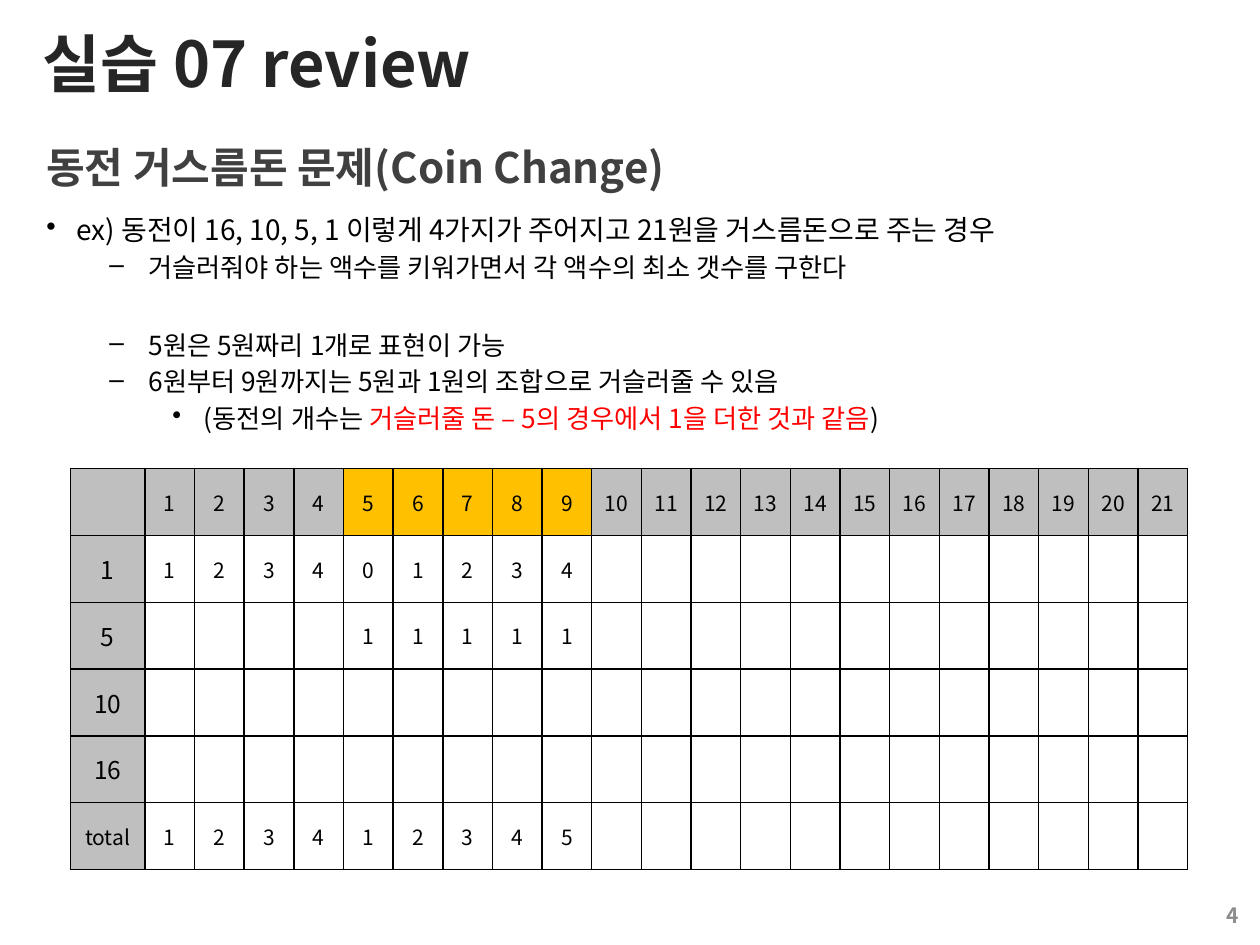
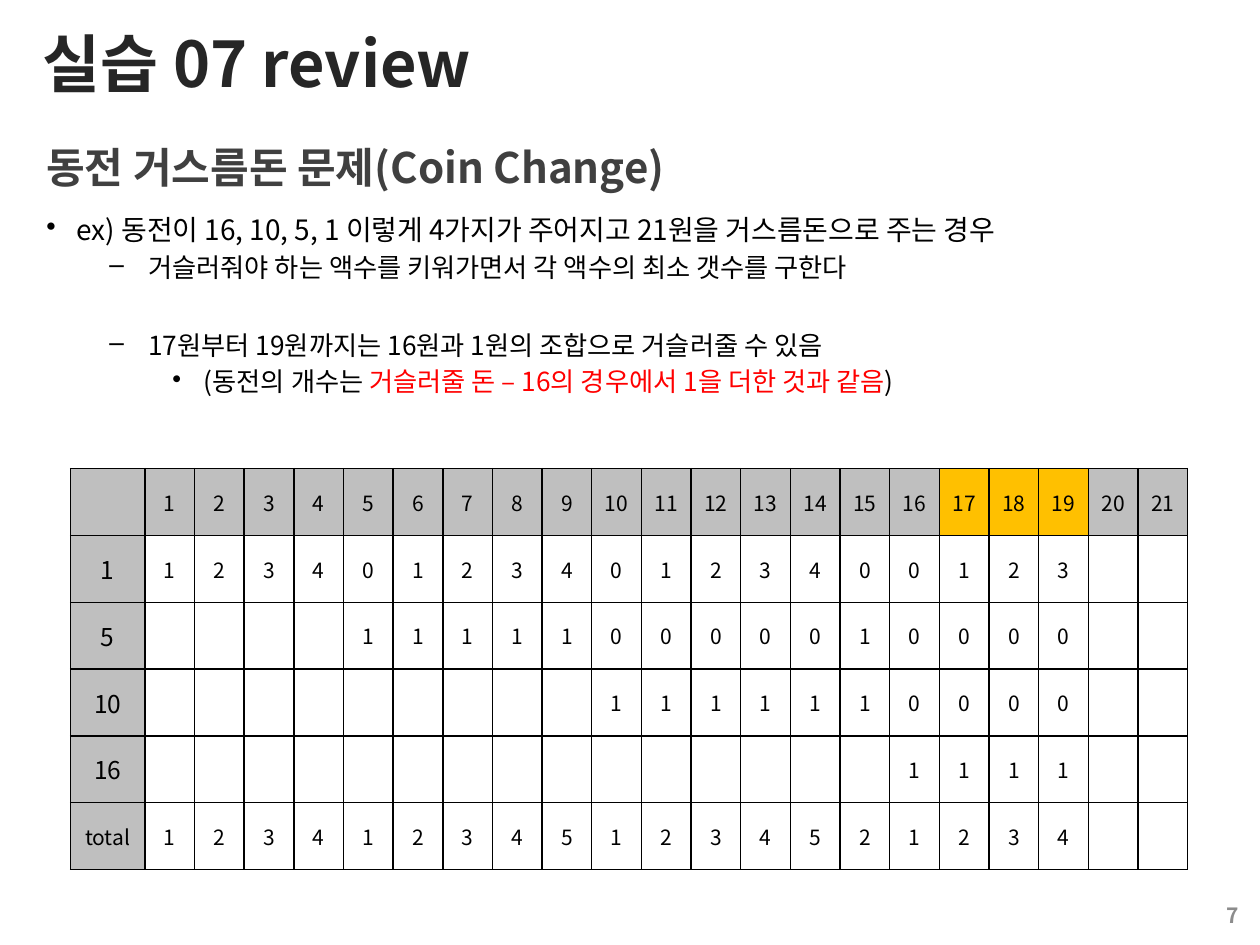
import pptx
import pptx.util
import pptx.dml.color
import pptx.enum.text
import pptx.oxml
import pptx.oxml.ns
from pptx.util import Inches

# Content
TITLE = "실습 07 review"
TOPIC = "동전 거스름돈 문제(Coin Change)"
INTRO = [
    (0, ["ex) 동전이 16, 10, 5, 1 이렇게 4가지가 주어지고 21원을 거스름돈으로 주는 경우"]),
    (1, ["거슬러줘야 하는 액수를 키워가면서 각 액수의 최소 갯수를 구한다"]),
]
LAST = 21
# Coin label, first amount it serves, counts from that amount on
COINS = [
    ("1", 1, [1, 2, 3, 4, 0, 1, 2, 3, 4, 0, 1, 2, 3, 4, 0, 0, 1, 2, 3]),
    ("5", 5, [1, 1, 1, 1, 1, 0, 0, 0, 0, 0, 1, 0, 0, 0, 0]),
    ("10", 10, [1, 1, 1, 1, 1, 1, 0, 0, 0, 0]),
    ("16", 16, [1, 1, 1, 1]),
    ("total", 1, [1, 2, 3, 4, 1, 2, 3, 4, 5, 1, 2, 3, 4, 5, 2, 1, 2, 3, 4]),
]
# Page number, highlighted amounts (the last is the last one solved), points
PAGES = [
    ("4", range(5, 10), [
        (1, ["5원은 5원짜리 1개로 표현이 가능"]),
        (1, ["6원부터 9원까지는 5원과 1원의 조합으로 거슬러줄 수 있음"]),
        (2, ["(동전의 개수는 ", "거슬러줄 돈 – 5의 경우에서 1을 더한 것과 같음", ")"]),
    ]),
    ("7", range(17, 20), [
        (1, ["17원부터 19원까지는 16원과 1원의 조합으로 거슬러줄 수 있음"]),
        (2, ["(동전의 개수는 ", "거슬러줄 돈 – 16의 경우에서 1을 더한 것과 같음", ")"]),
    ]),
]

# Style
FONT = "Noto Sans CJK KR"
HUES = {"title": "262626", "topic": "404040", "text": "000000", "key": "FF0000",
        "page": "8C8C8C", "head": "BFBFBF", "mark": "FFC000", "cell": "FFFFFF"}
LEVELS = [("•", 0.24, -0.24, 16), ("–", 0.81, -0.31, 15), ("•", 1.25, -0.25, 15)]
GAP, BREAK = 4.5, 28.5
ALIGN = pptx.enum.text.PP_ALIGN
MIDDLE = pptx.enum.text.MSO_ANCHOR.MIDDLE


def color(name):
    return pptx.dml.color.RGBColor.from_string(HUES[name])


def write(para, text, size=12, hue="text", bold=False, align=ALIGN.LEFT):
    para.alignment = align
    run = para.add_run()
    run.text = text
    font = run.font
    font.name, font.size, font.bold = FONT, pptx.util.Pt(size), bold
    font.color.rgb = color(hue)
    east = pptx.oxml.parse_xml(
        f'<a:ea {pptx.oxml.ns.nsdecls("a")} typeface="{FONT}"/>')
    font._element.find(pptx.oxml.ns.qn("a:latin")).addnext(east)


def place(shape, left, top, width, height):
    shape.left, shape.top = Inches(left), Inches(top)
    shape.width, shape.height = Inches(width), Inches(height)


def add_box(slide, *area, anchor=MIDDLE):
    frame = slide.shapes.add_textbox(*map(Inches, area)).text_frame
    frame.word_wrap = True
    frame.vertical_anchor = anchor
    return frame


def add_points(slide, points):
    frame = add_box(slide, 0.27, 1.67, 9.46, 5.49, anchor=pptx.enum.text.MSO_ANCHOR.TOP)
    for i, (level, parts) in enumerate(points):
        para = frame.paragraphs[0] if i == 0 else frame.add_paragraph()
        sign, left, hang, size = LEVELS[level]
        props = para._p.get_or_add_pPr()
        props.set("marL", str(Inches(left)))
        props.set("indent", str(Inches(hang)))
        props.append(pptx.oxml.parse_xml(
            f'<a:buChar {pptx.oxml.ns.nsdecls("a")} char="{sign}"/>'))
        para.level = level
        para.line_spacing = 0.9
        if i:
            para.space_before = pptx.util.Pt(BREAK if i == len(INTRO) else GAP)
        for j, part in enumerate(parts):
            write(para, part, size=size, hue="key" if j == 1 else "text")


def edge(cell):
    props = cell._tc.get_or_add_tcPr()
    for i, side in enumerate("LRTB"):
        props.insert(i, pptx.oxml.parse_xml(
            f'<a:ln{side} {pptx.oxml.ns.nsdecls("a")} w="12700"><a:solidFill>'
            f'<a:srgbClr val="{HUES["text"]}"/></a:solidFill></a:ln{side}>'))


def add_grid(slide, marks):
    # Header row, then one row per coin, blank past the last solved amount
    rows = [[""] + [str(n) for n in range(1, LAST + 1)]]
    for label, start, counts in COINS:
        solved = dict(enumerate(counts, start))
        rows.append([label] + [str(solved[n]) if n in solved and n <= marks[-1] else ""
                               for n in range(1, LAST + 1)])
    wide, first = 8.87, 0.59
    table = slide.shapes.add_table(len(rows), LAST + 1, Inches(0.56), Inches(3.72),
                                   Inches(wide), Inches(3.18)).table
    table.first_row = table.horz_banding = False
    for c, col in enumerate(table.columns):
        col.width = Inches((wide - first) / LAST if c else first)
    for r, row in enumerate(rows):
        for c, text in enumerate(row):
            cell = table.cell(r, c)
            cell.margin_left = cell.margin_right = Inches(0.04)
            cell.vertical_anchor = MIDDLE
            head = r == 0 or c == 0
            hue = "mark" if r == 0 and c in marks else "head" if head else "cell"
            cell.fill.solid()
            cell.fill.fore_color.rgb = color(hue)
            edge(cell)
            if text:
                size = 14 if c == 0 and text.isdigit() else 12
                write(cell.text_frame.paragraphs[0], text, size=size, align=ALIGN.CENTER)


def add_page(deck, number, marks, points):
    slide = deck.slides.add_slide(deck.slide_layouts[5])
    # Title and topic
    title = slide.shapes.title
    place(title, 0.24, 0.01, 9.51, 0.97)
    title.text_frame.vertical_anchor = MIDDLE
    write(title.text_frame.paragraphs[0], TITLE, size=36, hue="title", bold=True)
    topic = add_box(slide, 0.27, 1.07, 9.46, 0.5)
    write(topic.paragraphs[0], TOPIC, size=24, hue="topic", bold=True)
    # Body, page number and table
    add_points(slide, INTRO + points)
    foot = add_box(slide, 7.6, 7.06, 2.33, 0.4)
    write(foot.paragraphs[0], number, hue="page", bold=True, align=ALIGN.RIGHT)
    add_grid(slide, marks)


def main():
    deck = pptx.Presentation()
    deck.slide_width, deck.slide_height = Inches(10), Inches(7.5)
    for page in PAGES:
        add_page(deck, *page)
    deck.save("out.pptx")


if __name__ == "__main__":
    main()
